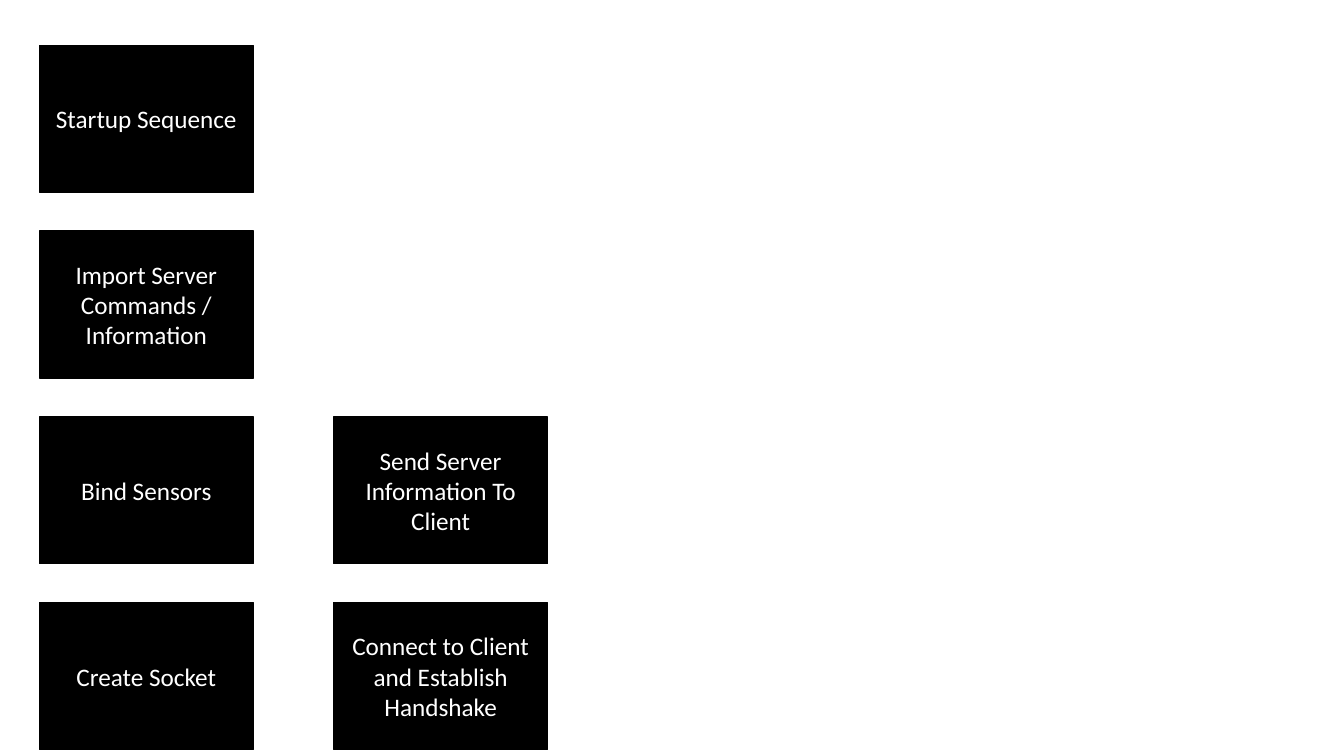
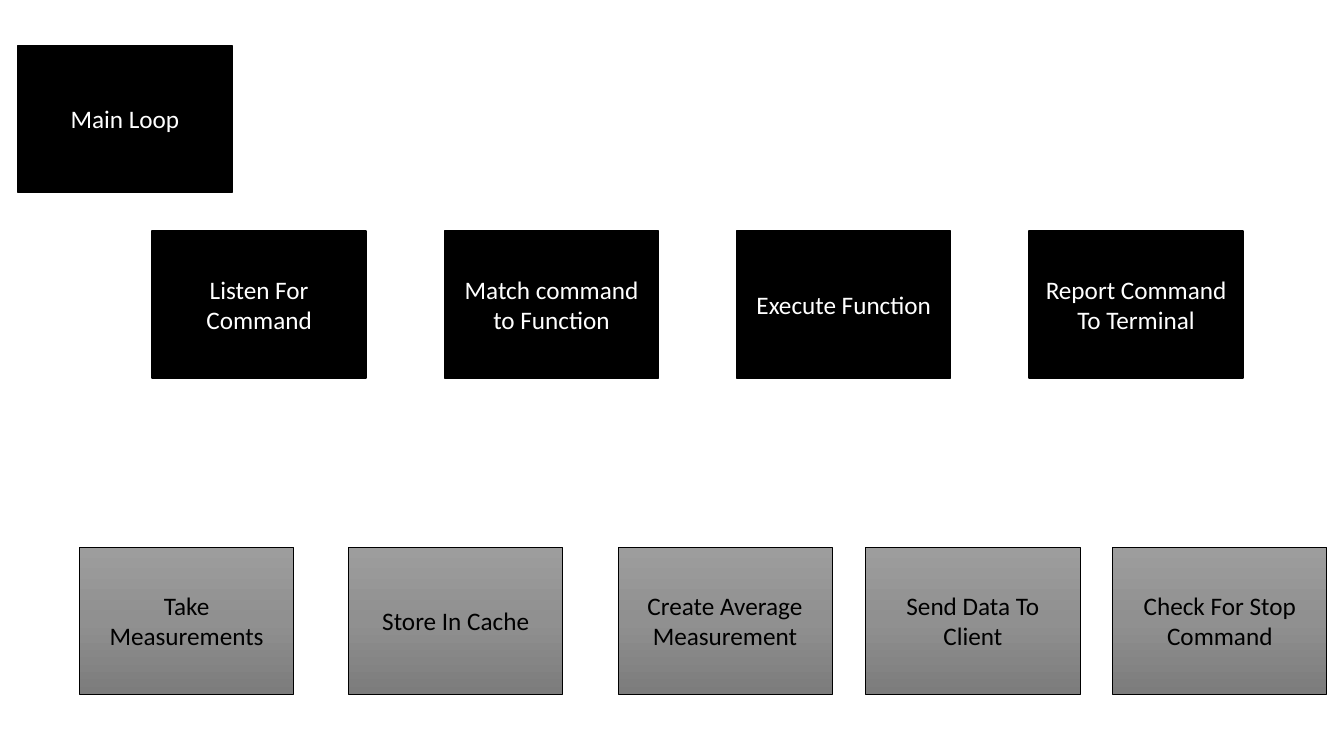
from copy import deepcopy
from pptx import Presentation
from pptx.dml.color import RGBColor
from pptx.enum.shapes import MSO_SHAPE
from pptx.enum.text import MSO_ANCHOR, PP_ALIGN
from pptx.oxml.ns import qn
from pptx.util import Pt

RECT = MSO_SHAPE.RECTANGLE
MIDDLE = MSO_ANCHOR.MIDDLE
CENTER = PP_ALIGN.CENTER

STARTUP = [
    (0, 0, "Startup Sequence"),
    (0, 1, "Import Server Commands / Information"),
    (0, 2, "Bind Sensors"),
    (0, 3, "Create Socket"),
    (1, 3, "Connect to Client and Establish Handshake"),
    (1, 2, "Send Server Information To Client"),
]
LOOP = "Main Loop"
STEPS = ["Listen For Command", "Match command to Function",
         "Execute Function", "Report Command To Terminal"]
TASKS = [
    (56.9, "Take Measurements"),
    (249.1, "Store In Cache"),
    (441.4, "Create Average Measurement"),
    (618.5, "Send Data To Client"),
    (794.9, "Check For Stop Command"),
]

BOX_W, BOX_H = 152.9, 104.9
TOP, ROW_GAP = 32.4, 132.7
DARK = {"stops": ["000000"], "line": 1, "text": "FFFFFF"}
GRAY = {"stops": ["9D9D9D", "909090", "7C7C7C"], "line": 0.5, "text": "000000"}
FONT = {"name": "Calibri", "size": Pt(18)}
FRAME = {"word_wrap": True, "vertical_anchor": MIDDLE}


def color(code):
    return RGBColor.from_string(code)


def apply(target, values):
    for name, value in values.items():
        setattr(target, name, value)


def paint(shape, codes):
    fill = shape.fill
    if len(codes) == 1:
        fill.solid()
        fill.fore_color.rgb = color(codes[0])
        return
    fill.gradient()
    fill.gradient_angle = 270
    stops = shape._element.spPr.find(".//" + qn("a:gsLst"))
    while len(stops) < len(codes):
        stops.append(deepcopy(stops[0]))
    for i, (stop, code) in enumerate(zip(fill.gradient_stops, codes)):
        stop.position = i / (len(codes) - 1)
        stop.color.rgb = color(code)


def add_box(slide, left, top, text, style=DARK):
    box = slide.shapes.add_shape(RECT, Pt(left), Pt(top), Pt(BOX_W), Pt(BOX_H))
    box.shadow.inherit = False
    paint(box, style["stops"])
    box.line.color.rgb = color("000000")
    box.line.width = Pt(style["line"])
    apply(box.text_frame, FRAME)
    para = box.text_frame.paragraphs[0]
    para.alignment = CENTER
    run = para.add_run()
    run.text = text
    apply(run.font, FONT)
    run.font.color.rgb = color(style["text"])


def row_top(row):
    return TOP + row * ROW_GAP


deck = Presentation()
deck.slide_width, deck.slide_height = Pt(960), Pt(540)
blank = deck.slide_layouts[6]

start = deck.slides.add_slide(blank)
for col, row, text in STARTUP:
    add_box(start, 28.1 + col * 210.2, row_top(row), text)

main = deck.slides.add_slide(blank)
add_box(main, 12.8, row_top(0), LOOP)
for i, text in enumerate(STEPS):
    add_box(main, 108.7 + i * 208.8, row_top(1), text)
for left, text in TASKS:
    add_box(main, left, 390.9, text, GRAY)

deck.save("out.pptx")
